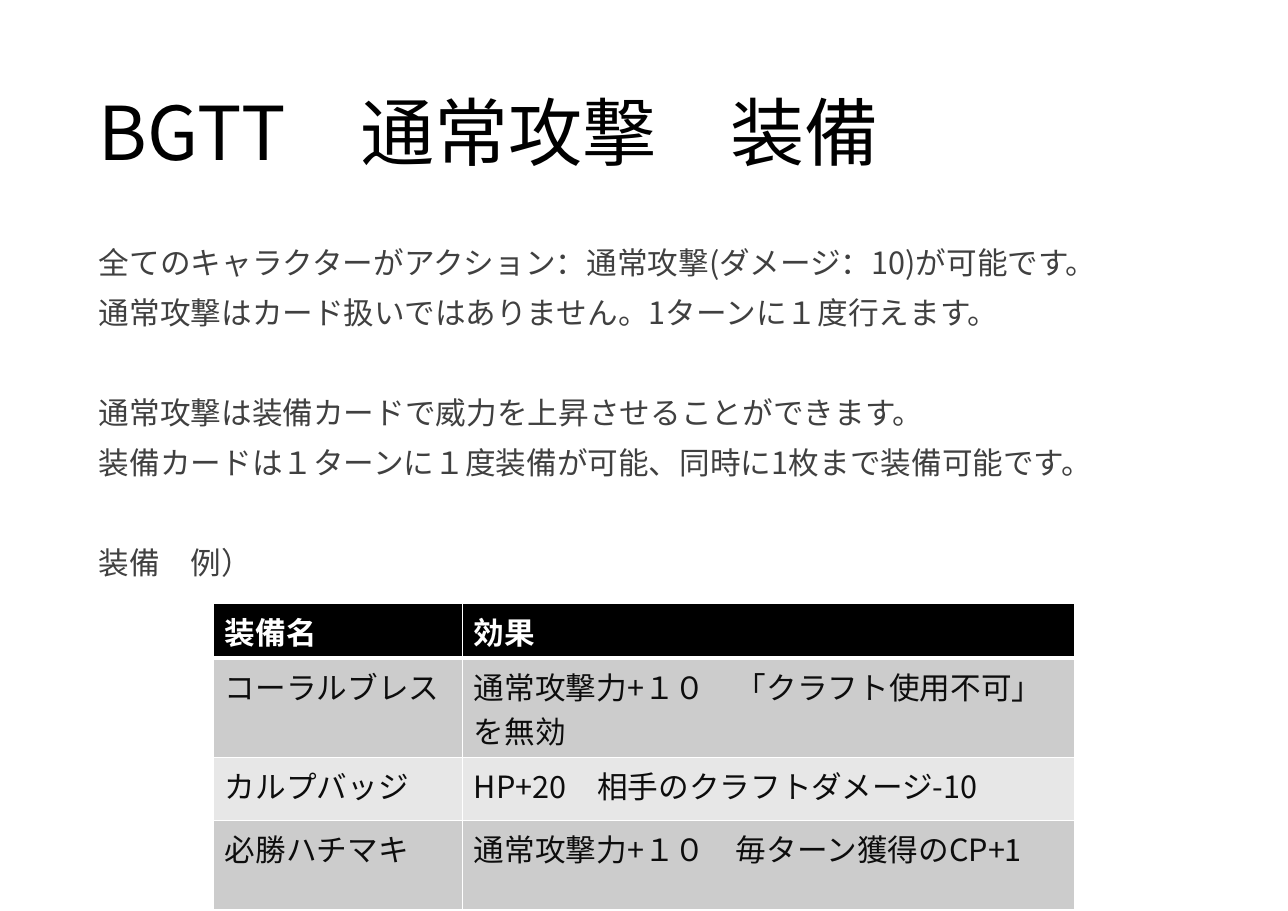
from lxml.etree import SubElement
from pptx import Presentation
from pptx.dml.color import RGBColor
from pptx.enum.text import MSO_ANCHOR
from pptx.oxml import parse_xml
from pptx.oxml.ns import nsdecls, qn
from pptx.util import Cm, Pt

BLACK = RGBColor(0x00, 0x00, 0x00)
WHITE = RGBColor(0xFF, 0xFF, 0xFF)
BODY = RGBColor(0x40, 0x40, 0x40)
CELL = RGBColor(0x0D, 0x0D, 0x0D)
BANDS = (RGBColor(0xCC, 0xCC, 0xCC), RGBColor(0xE7, 0xE7, 0xE7))

RULES = [
    ("全てのキャラクターがアクション：通常攻撃(ダメージ：10)が可能です。", 11),
    ("通常攻撃はカード扱いではありません。1ターンに１度行えます。", 11),
    ("通常攻撃は装備カードで威力を上昇させることができます。", 43.7),
    ("装備カードは１ターンに１度装備が可能、同時に1枚まで装備可能です。", 11),
    ("装備　例）", 43.7),
]
EQUIPMENT = [
    ("装備名", "効果"),
    ("コーラルブレス", "通常攻撃力+１０　「クラフト使用不可」を無効"),
    ("カルプバッジ", "HP+20　相手のクラフトダメージ-10"),
    ("必勝ハチマキ", "通常攻撃力+１０　毎ターン獲得のCP+1"),
]


class Deck:
    """Holds the text style and the current slide."""

    font = "Noto Sans CJK JP"
    header_font = "Calibri"

    def __init__(self, prs):
        self.s = prs.slides.add_slide(prs.slide_layouts[6])

    def run(self, p, text, size, color, name=font, bold=False):
        r = p.add_run()
        r.text = text
        r.font.size, r.font.bold, r.font.name = Pt(size), bold, name
        r.font.color.rgb = color
        SubElement(r.font._element, qn("a:ea"), typeface=self.font)

    def text(self, box, lines, size, color, anchor=MSO_ANCHOR.TOP):
        tf = self.s.shapes.add_textbox(*map(Cm, box)).text_frame
        tf.word_wrap, tf.vertical_anchor = True, anchor
        for i, (line, gap) in enumerate(lines):
            p = tf.add_paragraph() if i else tf.paragraphs[0]
            p.line_spacing, p.space_before = 0.9, Pt(gap)
            self.run(p, line, size, color)

    def borders(self, cell, top, bottom):
        tc_pr = cell._tc.get_or_add_tcPr()
        for i, (side, width) in enumerate(zip("LRTB", (1, 1, top, bottom))):
            tc_pr.insert(i, parse_xml(
                f'<a:ln{side} {nsdecls("a")} w="{Pt(width)}"><a:solidFill>'
                f'<a:srgbClr val="{WHITE}"/></a:solidFill></a:ln{side}>'))

    def table(self, left, top, widths, heights, rows, size):
        tbl = self.s.shapes.add_table(
            len(rows), len(widths), Cm(left), Cm(top),
            Cm(sum(widths)), Cm(sum(heights))).table
        for col, width in zip(tbl.columns, widths):
            col.width = Cm(width)
        for i, (row, height, texts) in enumerate(zip(tbl.rows, heights, rows)):
            row.height = Cm(height)
            for cell, text in zip(row.cells, texts):
                cell.fill.solid()
                cell.fill.fore_color.rgb = BANDS[(i - 1) % 2] if i else BLACK
                self.borders(cell, 3 if i == 1 else 1, 1 if i else 3)
                p = cell.text_frame.paragraphs[0]
                if i:
                    self.run(p, text, size, CELL)
                else:
                    self.run(p, text, size, WHITE, self.header_font, True)


prs = Presentation()
prs.slide_width, prs.slide_height = Cm(29.7), Cm(21)
deck = Deck(prs)
deck.text((2.03, 1.12, 25.6, 4.06), [("BGTT　通常攻撃　装備", 0)], 48.5, BLACK,
          MSO_ANCHOR.MIDDLE)
deck.text((2.03, 5.59, 25.6, 13.34), RULES, 20, BODY)
deck.table(4.93, 13.9, (5.74, 14.1), (1.27, 2.29, 1.45, 2.06), EQUIPMENT, 20)
prs.save("out.pptx")
